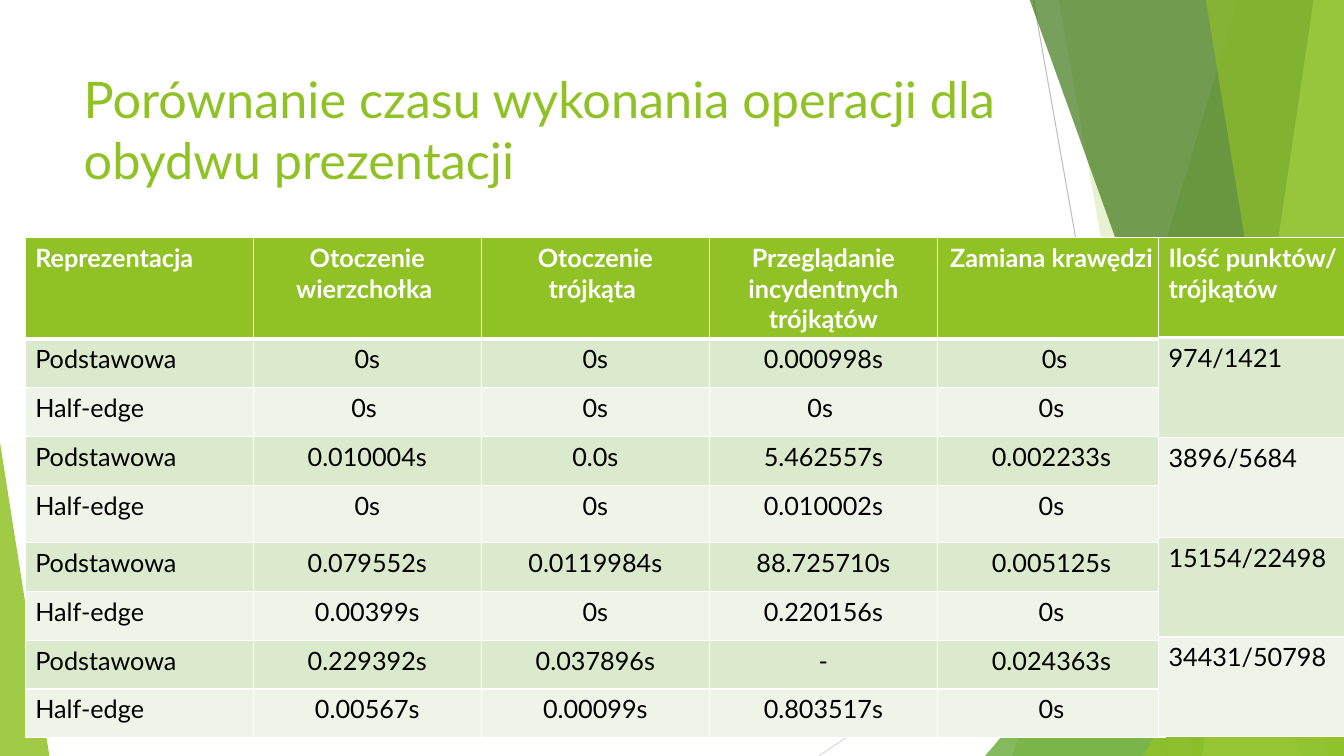
from dataclasses import dataclass

from lxml.etree import SubElement
from pptx import Presentation
from pptx.dml.color import RGBColor
from pptx.enum.shapes import MSO_CONNECTOR as Connector, MSO_SHAPE as Shape
from pptx.enum.text import MSO_ANCHOR as Anchor, MSO_AUTO_SIZE as AutoSize, PP_ALIGN as Align
from pptx.oxml.ns import qn
from pptx.util import Inches, Pt

TITLE = "Porównanie czasu wykonania operacji dla obydwu prezentacji"
TIMES = [
    ("Reprezentacja", "Otoczenie wierzchołka ", "Otoczenie trójkąta ",
     "Przeglądanie incydentnych trójkątów", "Zamiana krawędzi"),
    ("Podstawowa", "0s", "0s", "0.000998s", " 0s"),
    ("Half-edge", "0s ", "0s", "0s ", "0s"),
    ("Podstawowa", "0.010004s", "0.0s", "5.462557s", "0.002233s"),
    ("Half-edge", "0s", "0s", "0.010002s", "0s"),
    ("Podstawowa", "0.079552s", "0.0119984s", "88.725710s", "0.005125s"),
    ("Half-edge", "0.00399s", "0s", "0.220156s", "0s"),
    ("Podstawowa", "0.229392s", "0.037896s", "-", "0.024363s"),
    ("Half-edge", "0.00567s", "0.00099s", "0.803517s", "0s"),
]
SIZES = [("Ilość punktów/\ntrójkątów",), ("974/1421",), ("3896/5684",),
         ("15154/22498",), ("34431/50798",)]


@dataclass(frozen=True)
class Theme:
    font: str = "Lato"
    title_size: int = 36
    table_size: int = 18
    accent: str = "90C226"
    green: str = "54A021"
    dark: str = "3F7819"
    light: str = "C0E474"
    white: str = "FFFFFF"
    text: str = "000000"
    bands: tuple = ("DBE9CD", "EEF4E8")
    thin: int = 1
    thick: int = 3


THEME = Theme()
WIDTH, HEIGHT = 13.33, 7.5
TOP = -0.01
TABLE_TOP, TABLE_HEIGHT, HEADER_HEIGHT = 2.36, 4.95, 0.99
TALL_ROW, TALL_HEIGHT = 4, 0.57

# start, end, colour
LINES = [((10.25, 0), (11.58, HEIGHT), "BFBFBF"),
         ((WIDTH, 4.03), (8.12, HEIGHT), "D9D9D9")]
# Panels: top left x, bottom left x, colour, opacity in percent
# Triangles: left, top, width, apex position, colour, opacity in percent
FACETS = [
    ("panel", (12.28, 10.04), THEME.accent, 30),
    ("panel", (10.5, 11.83), THEME.accent, 20),
    ("triangle", (9.77, 3.33, 3.56, 1), THEME.green, 72),
    ("panel", (10.21, 12.91), THEME.dark, 70),
    ("panel", (13.03, 11.92), THEME.light, 70),
    ("panel", (11.96, 13.18), THEME.accent, 65),
    ("triangle", (11.34, 3.93, 1.99, 1), THEME.accent, 80),
    ("triangle", (0, 4.39, 0.49, 0), THEME.accent, 85),
]


def rgb(colour):
    return RGBColor.from_string(colour)


def add_line(slide, start, end, colour):
    line = slide.shapes.add_connector(
        Connector.STRAIGHT, *(Inches(value) for value in start + end))
    line.line.color.rgb = rgb(colour)
    line.line.width = Pt(0.75)
    SubElement(line.element.spPr, qn("a:effectLst"))


def add_panel(slide, top_left, bottom_left):
    """Add a full-height panel that reaches the right edge of the slide."""
    corners = [(top_left, TOP), (WIDTH, TOP), (WIDTH, HEIGHT), (bottom_left, HEIGHT)]
    points = [(Inches(x), Inches(y)) for x, y in corners]
    builder = slide.shapes.build_freeform(*points[0])
    builder.add_line_segments(points[1:], close=True)
    return builder.convert_to_shape()


def add_triangle(slide, left, top, width, apex):
    triangle = slide.shapes.add_shape(
        Shape.ISOSCELES_TRIANGLE, Inches(left), Inches(top), Inches(width), Inches(HEIGHT - top))
    triangle.adjustments[0] = apex
    return triangle


def add_facet(slide, kind, geometry, colour, opacity):
    add = add_panel if kind == "panel" else add_triangle
    shape = add(slide, *geometry)
    shape.shadow.inherit = False
    shape.line.fill.background()
    shape.fill.solid()
    shape.fill.fore_color.rgb = rgb(colour)
    colour_element = shape.element.spPr.find(qn("a:solidFill"))[0]
    SubElement(colour_element, qn("a:alpha"), val=str(opacity * 1000))


def add_run(paragraph, text, size, colour, bold=False):
    run = paragraph.add_run()
    run.text = text
    run.font.name = THEME.font
    run.font.size = Pt(size)
    run.font.bold = bold
    run.font.color.rgb = rgb(colour)


def set_title(slide):
    title = slide.shapes.title
    title.left, title.top = Inches(0.73), Inches(0.63)
    title.width, title.height = Inches(9.4), Inches(1.44)
    frame = title.text_frame
    frame.word_wrap = True
    frame.auto_size = AutoSize.NONE
    frame.vertical_anchor = Anchor.TOP
    paragraph = frame.paragraphs[0]
    paragraph.alignment = Align.LEFT
    add_run(paragraph, TITLE, THEME.title_size, THEME.accent)
    title.element.getparent().append(title.element)


def set_borders(cell, row):
    """Draw white cell borders, thick between the header and the body."""
    properties = cell._tc.get_or_add_tcPr()
    thick_side = {0: "lnB", 1: "lnT"}.get(row)
    for side in ("lnL", "lnR", "lnT", "lnB"):
        width = THEME.thick if side == thick_side else THEME.thin
        line = SubElement(properties, qn(f"a:{side}"), w=str(Pt(width)))
        fill = SubElement(line, qn("a:solidFill"))
        SubElement(fill, qn("a:srgbClr"), val=THEME.white)


def fill_cell(cell, text, row, column):
    header = row == 0
    set_borders(cell, row)
    cell.fill.solid()
    cell.fill.fore_color.rgb = rgb(THEME.accent if header else THEME.bands[(row - 1) % 2])
    frame = cell.text_frame
    for index, line in enumerate(text.split("\n")):
        paragraph = frame.add_paragraph() if index else frame.paragraphs[0]
        paragraph.alignment = Align.CENTER if column else Align.LEFT
        add_run(paragraph, line, THEME.table_size,
                THEME.white if header else THEME.text, header)


def add_table(slide, rows, left, width, heights):
    columns = len(rows[0])
    table = slide.shapes.add_table(
        len(rows), columns, Inches(left), Inches(TABLE_TOP),
        Inches(width), Inches(TABLE_HEIGHT)).table
    table.horz_banding = False
    for column in table.columns:
        column.width = Inches(width / columns)
    for row, (texts, height) in enumerate(zip(rows, heights)):
        table.rows[row].height = Inches(height)
        for column, text in enumerate(texts):
            fill_cell(table.cell(row, column), text, row, column)


def main():
    presentation = Presentation()
    presentation.slide_width = Inches(WIDTH)
    presentation.slide_height = Inches(HEIGHT)
    slide = presentation.slides.add_slide(presentation.slide_layouts[5])
    slide.background.fill.solid()
    slide.background.fill.fore_color.rgb = rgb(THEME.white)
    for line in LINES:
        add_line(slide, *line)
    for facet in FACETS:
        add_facet(slide, *facet)
    set_title(slide)

    row_height = (TABLE_HEIGHT - HEADER_HEIGHT - TALL_HEIGHT) / (len(TIMES) - 2)
    time_heights = [row_height] * len(TIMES)
    time_heights[0], time_heights[TALL_ROW] = HEADER_HEIGHT, TALL_HEIGHT
    add_table(slide, TIMES, 0.25, 11.31, time_heights)
    add_table(slide, SIZES, 11.49, 2.05, [TABLE_HEIGHT / len(SIZES)] * len(SIZES))
    presentation.save("out.pptx")


if __name__ == "__main__":
    main()
